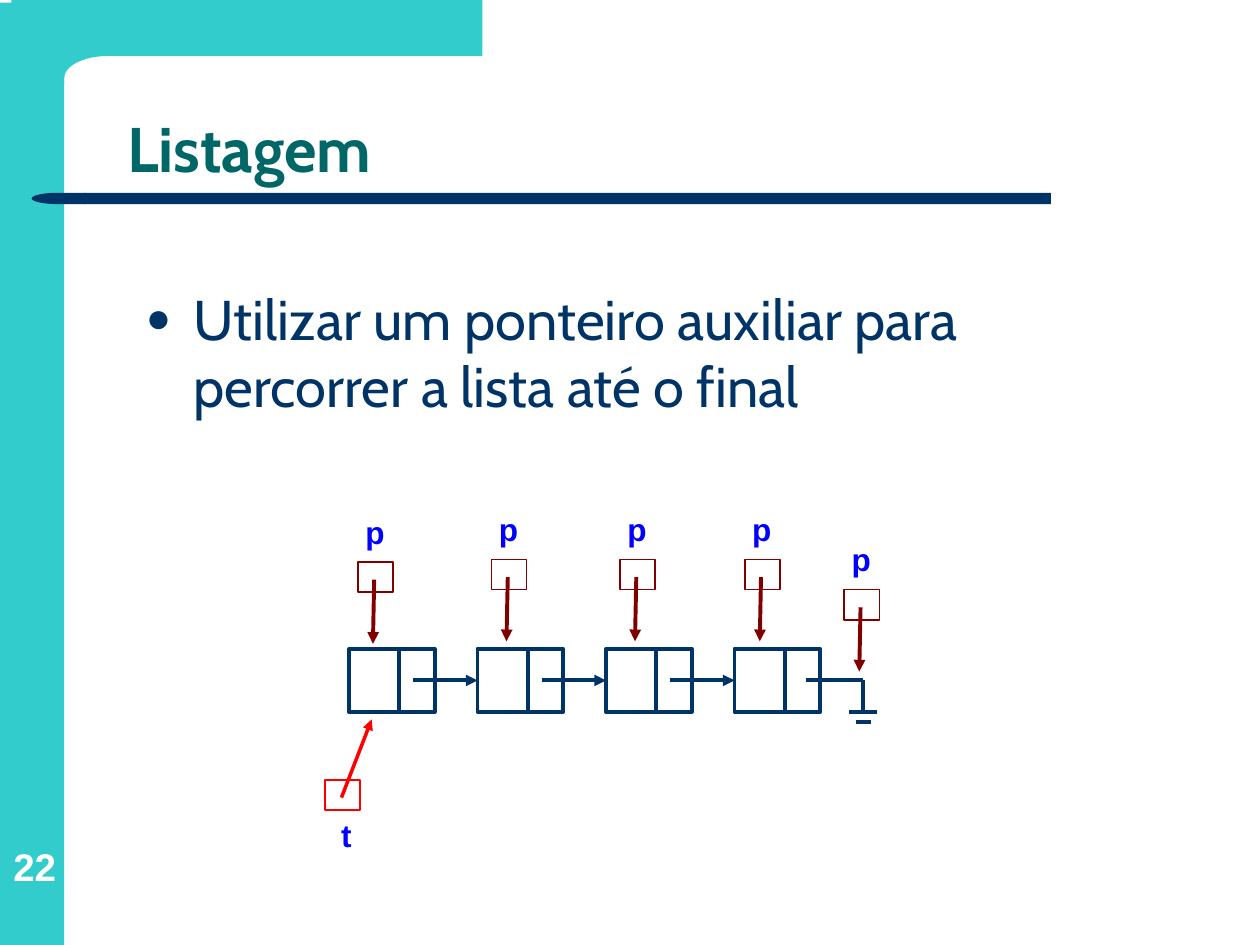
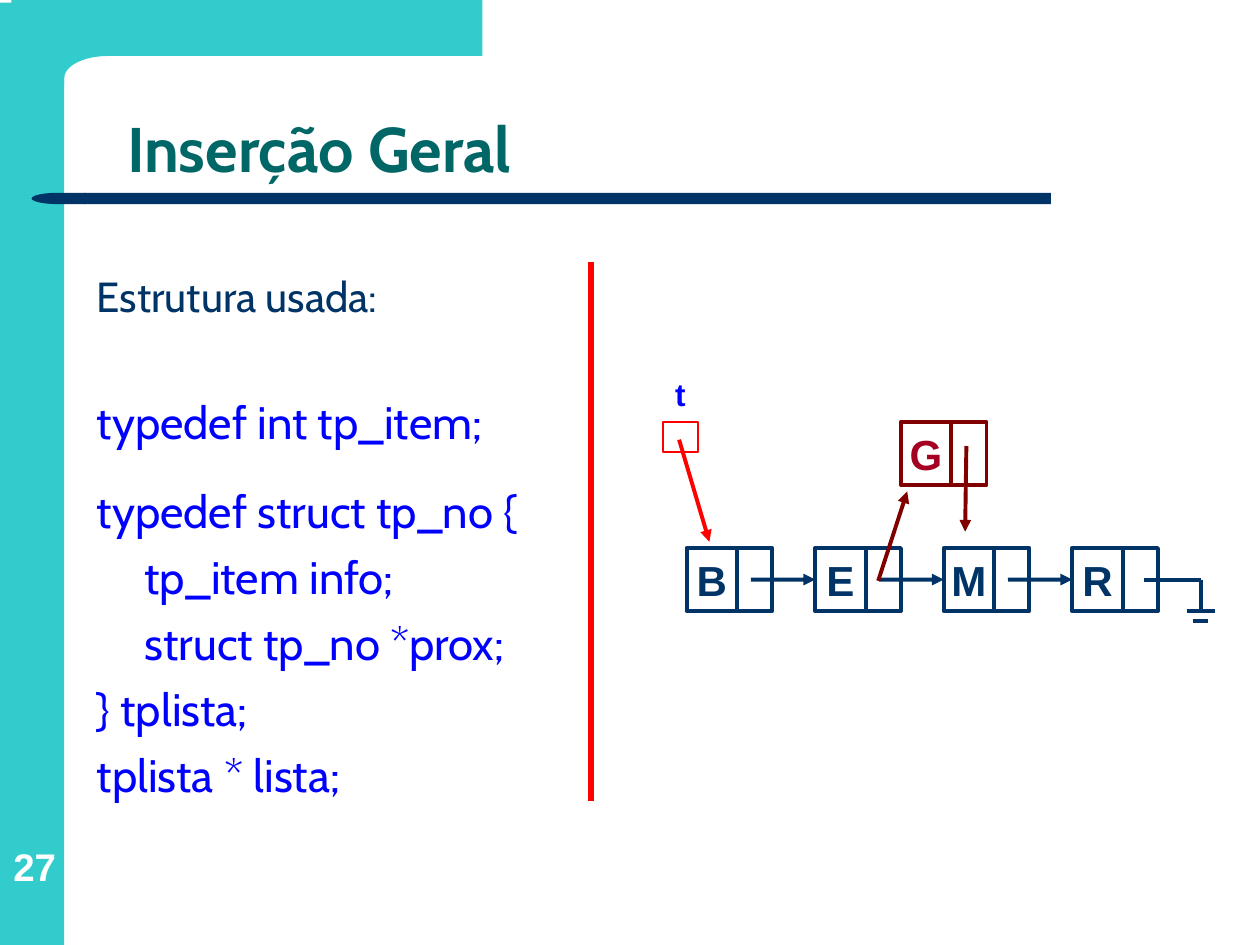
import math

import lxml.etree
import pptx
import pptx.dml.color
import pptx.enum.shapes
import pptx.enum.text
import pptx.oxml.ns
import pptx.util

COLORS = {
    "teal": "33CCCC",
    "navy": "003366",
    "title": "006666",
    "white": "FFFFFF",
    "red": "FF0000",
    "maroon": "800000",
    "crimson": "A50021",
    "blue": "0000FF",
}
SHAPES = pptx.enum.shapes.MSO_SHAPE
ANCHORS = pptx.enum.text.MSO_ANCHOR
ALIGNS = pptx.enum.text.PP_ALIGN
Inches = pptx.util.Inches

DATA_WIDTH, LINK_WIDTH, NODE_HEIGHT, NODE_PITCH = 0.4, 0.28, 0.5, 1.02
P_LABEL = (-0.04, -0.44, 0.35)
P_TIP = (0.12, 0.65)


def rgb(color):
    return pptx.dml.color.RGBColor.from_string(COLORS[color])


def add_xml(parent, tag, **attributes):
    return lxml.etree.SubElement(parent, pptx.oxml.ns.qn(tag), attributes)


def write(frame, text, size=18, color="blue", font="Arial", bold=False,
          align=None, before=0, spacing=None, margin=0, bullet=None):
    paragraph = frame.paragraphs[0]
    if paragraph.runs:
        paragraph = frame.add_paragraph()
    paragraph.alignment = align
    paragraph.space_before = pptx.util.Pt(before)
    paragraph.line_spacing = spacing
    run = paragraph.add_run()
    run.text = text
    run.font.size = pptx.util.Pt(size)
    run.font.name = font
    run.font.bold = bold
    run.font.color.rgb = rgb(color)
    properties = paragraph._p.get_or_add_pPr()
    properties.set("marL", str(Inches(margin)))
    properties.set("indent", str(Inches(-margin if bullet else 0)))
    if bullet:
        bullet_color = add_xml(properties, "a:buClr")
        add_xml(bullet_color, "a:srgbClr", val=COLORS[color])
        add_xml(properties, "a:buSzPct", val="75000")
        add_xml(properties, "a:buFont", typeface="Arial")
        add_xml(properties, "a:buChar", char=bullet)


def set_insets(frame, inset):
    frame.margin_left = frame.margin_right = Inches(inset)
    frame.margin_top = frame.margin_bottom = Inches(inset / 2)


def text_frame(slide, left, top, width, height, anchor=ANCHORS.TOP,
               inset=0.1, wrap=True):
    box = slide.shapes.add_textbox(*map(Inches, (left, top, width, height)))
    frame = box.text_frame
    frame.word_wrap = wrap
    frame.vertical_anchor = anchor
    set_insets(frame, inset)
    return frame


def paint(shape, color):
    shape.shadow.inherit = False
    shape.fill.solid()
    shape.fill.fore_color.rgb = rgb(color)
    shape.line.fill.background()


def filled(slide, kind, left, top, width, height, color):
    shape = slide.shapes.add_shape(kind, *map(Inches, (left, top, width, height)))
    paint(shape, color)
    return shape


def outlined(slide, left, top, width, height, color, weight):
    rectangle = slide.shapes.add_shape(
        SHAPES.RECTANGLE, *map(Inches, (left, top, width, height)))
    rectangle.shadow.inherit = False
    rectangle.fill.background()
    rectangle.line.color.rgb = rgb(color)
    rectangle.line.width = pptx.util.Pt(weight)
    return rectangle


def draw_line(slide, start, end, color, weight=2.25, arrow=False):
    line = slide.shapes.add_connector(
        pptx.enum.shapes.MSO_CONNECTOR.STRAIGHT, *map(Inches, (*start, *end)))
    line.line.color.rgb = rgb(color)
    line.line.width = pptx.util.Pt(weight)
    properties = line.element.spPr
    if arrow:
        outline = properties.find(pptx.oxml.ns.qn("a:ln"))
        add_xml(outline, "a:tailEnd", type="triangle")
    add_xml(properties, "a:effectLst")
    return line


def draw_corner(slide):
    center_x, center_y, radius_x, radius_y = 860, 620, 350, 175
    angles = [math.radians(90 + step * 7.5) for step in range(13)]
    curve = [(center_x + radius_x * math.cos(angle),
              center_y - radius_y * math.sin(angle)) for angle in angles]
    builder = slide.shapes.build_freeform(3830, 0, scale=Inches(0.001))
    builder.add_line_segments(
        [(3830, 445), *curve, (510, 680), (90, 680), (90, 0)], close=True)
    paint(builder.convert_to_shape(), "teal")


def draw_frame(slide, title, number):
    filled(slide, SHAPES.RECTANGLE, 0, 0.02, 0.51, 7.48, "teal")
    draw_corner(slide)
    filled(slide, SHAPES.RECTANGLE, 0.67, 1.53, 7.67, 0.09, "navy")
    rounded_end = filled(slide, SHAPES.FLOWCHART_DELAY, 0.25, 1.53, 0.43, 0.09, "navy")
    rounded_end.rotation = 180
    write(text_frame(slide, 0.03, 6.52, 0.49, 0.54, ANCHORS.BOTTOM, inset=0),
          number, size=22, color="white", bold=True, align=ALIGNS.CENTER)
    write(text_frame(slide, 0.91, 0.44, 8.51, 1.09, ANCHORS.BOTTOM),
          title, size=36, color="title", font="Cabin", bold=True, spacing=0.9)


def draw_node(slide, left, top, letter="", color="navy", letter_color="navy"):
    data = outlined(slide, left, top, DATA_WIDTH, NODE_HEIGHT, color, 2.25)
    outlined(slide, left + DATA_WIDTH, top, LINK_WIDTH, NODE_HEIGHT, color, 2.25)
    if letter:
        frame = data.text_frame
        frame.word_wrap = False
        frame.vertical_anchor = ANCHORS.MIDDLE
        set_insets(frame, 0)
        write(frame, letter, size=24, color=letter_color, bold=True,
              align=ALIGNS.CENTER)
    return data


def draw_linked_list(slide, left, top, letters):
    lefts = [left + index * NODE_PITCH for index in range(len(letters))]
    nodes = [draw_node(slide, x, top, letter) for x, letter in zip(lefts, letters)]
    middle = top + NODE_HEIGHT / 2
    for x, following in zip(lefts, nodes[1:]):
        link = draw_line(slide, (x + 0.51, middle), (x + NODE_PITCH, middle),
                         "navy", arrow=True)
        link.end_connect(following, 1)
    ground = left + len(letters) * NODE_PITCH
    bottom = top + NODE_HEIGHT
    draw_line(slide, (lefts[-1] + 0.57, middle), (ground, middle), "navy")
    draw_line(slide, (ground, middle), (ground, bottom), "navy")
    for half_width, y in ((0.11, bottom), (0.06, bottom + 0.08)):
        draw_line(slide, (ground - half_width, y), (ground + half_width, y), "navy")


def draw_pointer(slide, left, top, name, label, tip, color, weight=2.25):
    outlined(slide, left, top, 0.28, 0.24, color, 1)
    draw_line(slide, (left + 0.13, top + 0.14), (left + tip[0], top + tip[1]),
              color, weight, arrow=True)
    label_left, label_top, label_width = label
    write(text_frame(slide, left + label_left, top + label_top, label_width, 0.4,
                     wrap=False),
          name, bold=True, align=ALIGNS.CENTER)


def build_listing(slide):
    draw_frame(slide, "Listagem", "22")
    write(text_frame(slide, 1.06, 2.21, 8.03, 3.04),
          "Utilizar um ponteiro auxiliar para percorrer a lista até o final",
          size=32, color="navy", font="Cabin", before=8, margin=0.38, bullet="●")
    draw_linked_list(slide, 2.77, 5.15, [""] * 4)
    for left, top in ((2.84, 4.46), (3.9, 4.44), (4.92, 4.44), (5.91, 4.44),
                      (6.7, 4.68)):
        draw_pointer(slide, left, top, "p", P_LABEL, P_TIP, "maroon")
    draw_pointer(slide, 2.58, 6.19, "t", (0.03, 0.24, 0.28), (0.37, -0.48),
                 "red", weight=2)


def draw_structure(slide, left, top, width, height):
    frame = text_frame(slide, left, top, width, height)
    write(frame, "Estrutura usada:", size=24, color="navy", font="Cabin", before=6)
    for text, before, margin in (
            ("typedef int tp_item;", 41.7, 0),
            ("typedef struct tp_no {", 19.7, 0),
            ("tp_item info;", 6.5, 0.38),
            ("struct tp_no *prox;", 6.5, 0.38),
            ("} tplista;", 6.5, 0),
            ("tplista * lista;", 6.5, 0)):
        write(frame, text, size=26, font="Cabin", before=before, margin=margin)


def build_insertion(slide):
    draw_frame(slide, "Inserção Geral", "27")
    draw_structure(slide, 0.67, 2.1, 3.94, 4.65)
    draw_line(slide, (4.69, 2.08), (4.69, 6.36), "red", 3)
    draw_linked_list(slide, 5.45, 4.35, "BEMR")
    draw_pointer(slide, 5.26, 3.35, "t", (0, -0.42, 0.28), (0.37, 0.95), "red")
    draw_node(slide, 7.15, 3.35, "G", "maroon", "crimson")
    draw_line(slide, (7.67, 3.54), (7.66, 4.22), "maroon", arrow=True)
    draw_line(slide, (6.97, 4.61), (7.2, 3.9), "maroon", arrow=True)


def main():
    deck = pptx.Presentation()
    deck.slide_width, deck.slide_height = Inches(10), Inches(7.5)
    for build in (build_listing, build_insertion):
        build(deck.slides.add_slide(deck.slide_layouts[6]))
    deck.save("out.pptx")


if __name__ == "__main__":
    main()
